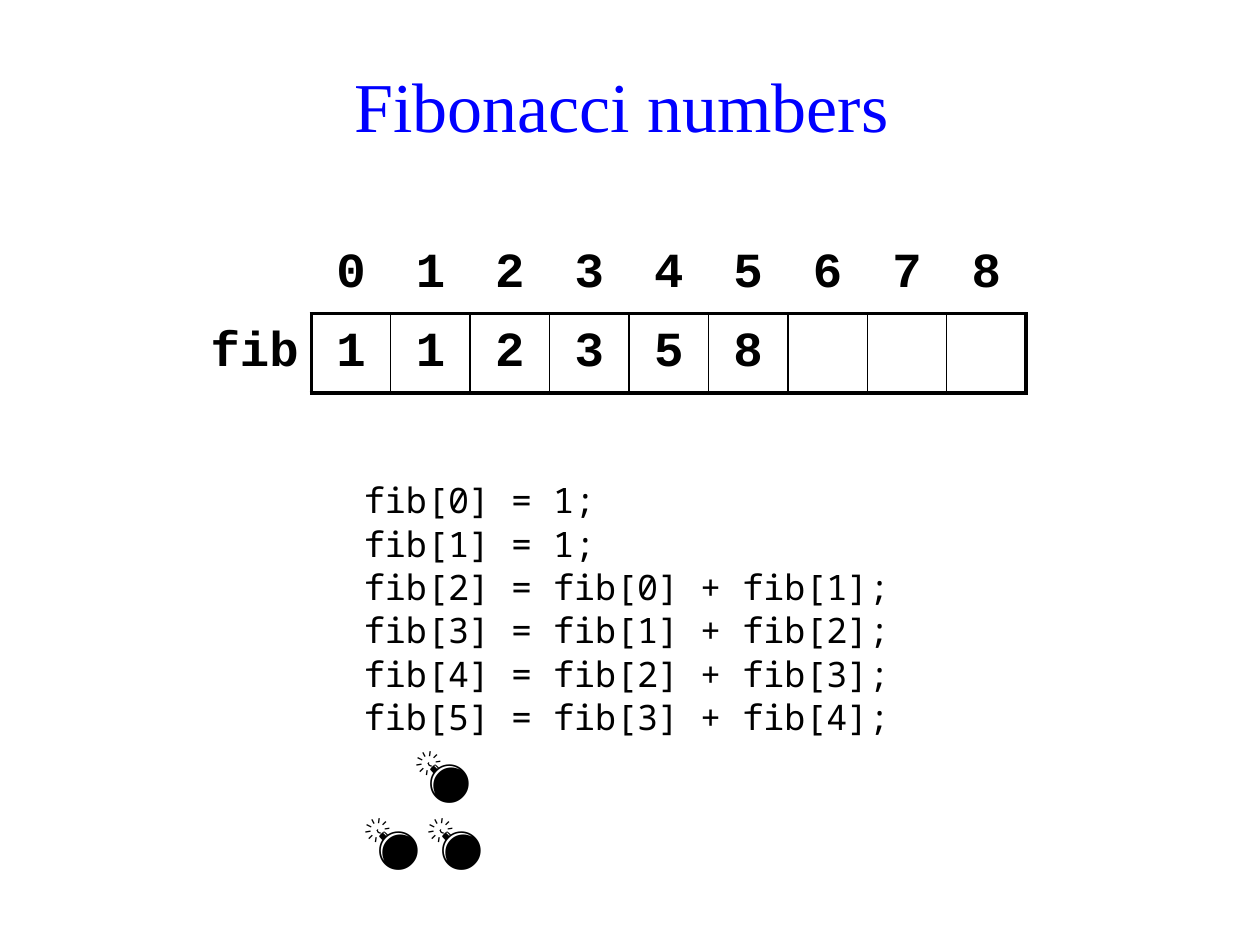
import pptx
import pptx.dml.color
import pptx.enum.text
import pptx.oxml
import pptx.oxml.ns
import pptx.util

Pt = pptx.util.Pt
ALIGN = pptx.enum.text.PP_ALIGN
MID = pptx.enum.text.MSO_ANCHOR.MIDDLE
NS = pptx.oxml.ns.nsdecls("a")


def style(para, face, size, color, bold=False):
    font = para.font
    font.name, font.size, font.bold = face, Pt(size), bold
    font.color.rgb = pptx.dml.color.RGBColor.from_string(color)


def border(cell, side, width):
    props = cell._tc.get_or_add_tcPr()
    fill = '<a:solidFill><a:srgbClr val="000000"/></a:solidFill>' if width else "<a:noFill/>"
    line = pptx.oxml.parse_xml(f'<a:ln{side} {NS} w="{Pt(width)}">{fill}</a:ln{side}>')
    props.append(line)


deck = pptx.Presentation()
deck.slide_width, deck.slide_height = Pt(720), Pt(540)
slide = deck.slides.add_slide(deck.slide_layouts[6])

# Title
title = slide.shapes.add_textbox(Pt(20), Pt(20), Pt(680), Pt(79)).text_frame
title.word_wrap = True
title.vertical_anchor = MID
head = title.paragraphs[0]
head.text = "Fibonacci numbers "
head.alignment = ALIGN.CENTER
style(head, "Times New Roman", 40, "0000FF")

# Code lines
body = slide.shapes.add_textbox(Pt(200.9), Pt(270), Pt(317.5), Pt(226.8)).text_frame
body.word_wrap = True
lines = ["fib[0] = 1;", "fib[1] = 1;"]
lines += [f"fib[{n}] = fib[{n - 2}] + fib[{n - 1}];" for n in range(2, 6)]
for n, line in enumerate(lines):
    para = body.paragraphs[0] if n == 0 else body.add_paragraph()
    para.text = line
    if n:
        para.space_before = Pt(0.8)
    style(para, "Noto Sans Mono", 20, "000000")

# Bombs: one indented, then two set apart by a tab
bombs = body.add_paragraph()
bombs.text = "💣\v💣\t💣"
bombs.line_spacing = Pt(38.3)
props = bombs._p.get_or_add_pPr()
props.set("marL", "0")
props.set("indent", str(Pt(29)))
props.append(pptx.oxml.parse_xml(
    f'<a:tabLst {NS}><a:tab pos="{Pt(134)}" algn="l"/></a:tabLst>'))
style(bombs, "Noto Sans Mono", 32, "000000")

# Array table: indexes above, values below
rows = [["", *"012345678"], ["fib", *"112358", "", "", ""]]
last = len(rows[0]) - 1
frame = slide.shapes.add_table(2, last + 1, Pt(110.2), Pt(133.9), Pt(476), Pt(90.8))
grid = frame.table
grid.first_row = grid.horz_banding = False
for col in range(last + 1):
    grid.columns[col].width = Pt(45.4 if col else 67.7)
for r, row in enumerate(rows):
    grid.rows[r].height = Pt(45.4)
    for c, word in enumerate(row):
        cell = grid.cell(r, c)
        cell.vertical_anchor = MID
        cell.margin_left = cell.margin_right = Pt(7.2)
        cell.margin_top = cell.margin_bottom = Pt(3.2)
        para = cell.text_frame.paragraphs[0]
        para.text = word
        para.alignment = ALIGN.CENTER if c else ALIGN.RIGHT
        style(para, "Courier New", 28, "000000", True)
        # Thick frame around the values, thin lines between them
        box = r == 1 and c > 0
        border(cell, "L", (2.25 if c == 1 else 1) if box else 0)
        border(cell, "R", (2.25 if c in (0, last) else 1) if r else 0)
        border(cell, "T", 2.25 if box else 0)
        border(cell, "B", 2.25 if c else 0)
        cell.fill.background()

deck.save("out.pptx")
